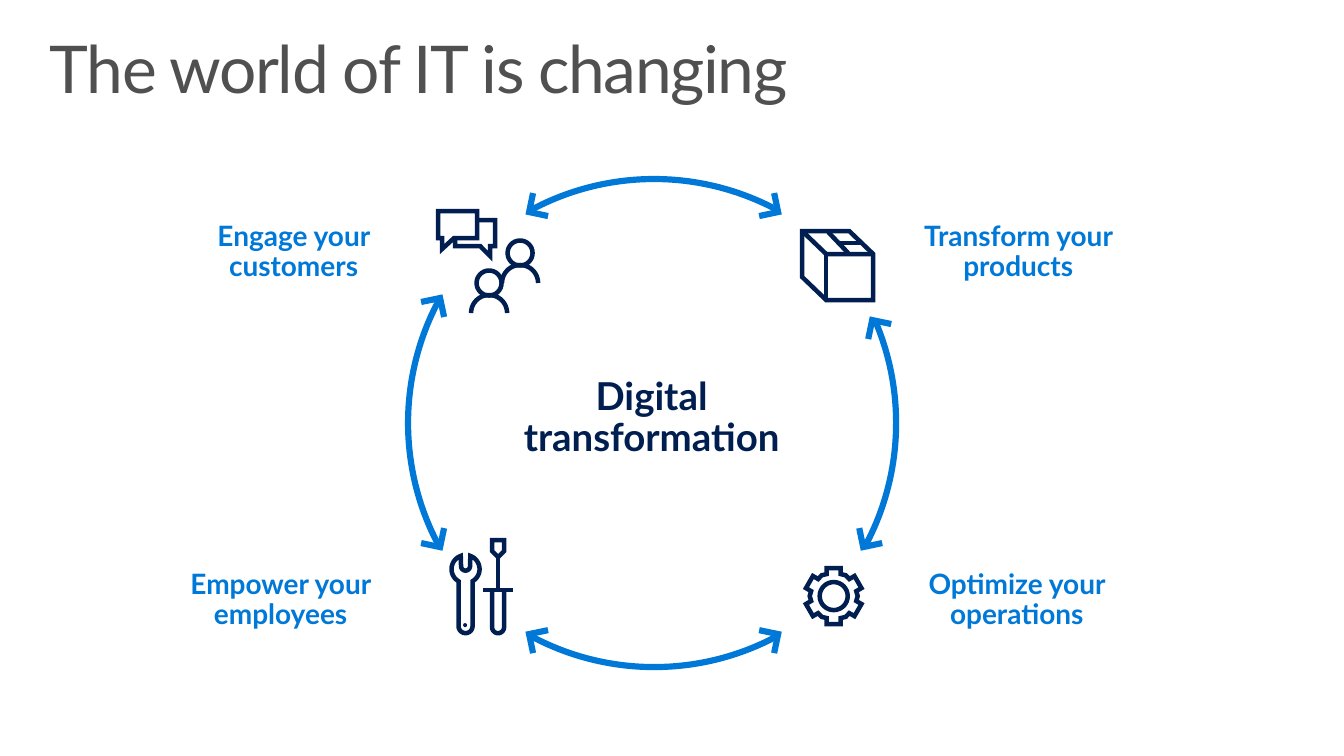
from math import cos, radians, sin

from lxml import etree
from pptx import Presentation
from pptx.dml.color import RGBColor
from pptx.enum.shapes import MSO_SHAPE
from pptx.enum.text import MSO_ANCHOR, PP_ALIGN
from pptx.oxml.ns import qn
from pptx.util import Inches, Pt

ARC, OVAL = MSO_SHAPE.ARC, MSO_SHAPE.OVAL
TOP, MIDDLE = MSO_ANCHOR.TOP, MSO_ANCHOR.MIDDLE
LEFT, CENTER = PP_ALIGN.LEFT, PP_ALIGN.CENTER

PIXEL = 914400 / 98.8
PAGE_SIZE = Inches(13.6), Inches(7.65)
THEME = {
    "font": "Lato", "navy": "001F50", "blue": "0078D7", "grey": "505050",
    "title": 48, "center": 28, "label": 20.4,
    "arrow_line": 4.5, "icon_line": 3.3,
}

# Text with its box: left, top, width, height
TITLE = ("The world of IT is changing", (40, 32, 1265, 99))
HUB = ("Digital transformation", (469, 361, 365, 115))
LABELS = [
    ("Engage your customers", (175, 205, 237, 94)),
    ("Transform your products", (890, 205, 256, 94)),
    ("Empower your employees", (142, 553, 277, 94)),
    ("Optimize your operations", (875, 553, 283, 94)),
]

# Arc centre, start and end angle, turn of the heads, and per head: tip, arm signs
ARROW_RADIUS = 260
ARM_LONG, ARM_SHORT = 19, 4
ARROWS = [
    ((654, 439), (242, 298), 1, [((529, 212), (1, 1)), ((778, 212), (-1, 1))]),
    ((654, 407), (62, 118), 1, [((529, 634), (1, -1)), ((778, 634), (-1, -1))]),
    ((636, 423), (337, 28), -1, [((872, 320), (1, 1)), ((863, 547), (1, -1))]),
    ((668, 423), (152, 208), -1, [((440, 298), (-1, 1)), ((440, 547), (-1, -1))]),
]


def curve(x, y, radius, start=0, end=360, steps=32):
    """Return points along a circle, angles clockwise from the right."""
    angles = [radians(start + (end - start) * i / steps) for i in range(steps + 1)]
    return [(x + radius * cos(a), y + radius * sin(a)) for a in angles]


def loop(*points):
    """Return the points with the first one repeated at the end."""
    return [*points, points[0]]


def person(x, y):
    """Return the head and shoulders of a person, given the shoulder centre."""
    return [curve(x, y - 30, 12.5), curve(x, y, 18, 180, 360)]


def gear_outline(x, y, teeth=6):
    """Return the outline of a gear with straight-sided teeth."""
    tooth = [(-7, -22), (-7, -28), (7, -28), (7, -22), (12, -20.8)]
    points = []
    for i in range(teeth):
        turn = radians(360 * i / teeth)
        points += [(x + a * cos(turn) - b * sin(turn),
                    y + a * sin(turn) + b * cos(turn)) for a, b in tooth]
    return loop(*points)


# Each icon is a list of strokes
ICONS = {
    "people": person(489, 313) + person(520, 283),
    "bubbles": [
        loop((438, 211), (477, 211), (477, 238), (454, 238),
             (442, 249), (442, 238), (438, 238)),
        [(479, 220), (495, 220), (495, 246), (490, 246),
         (490, 256), (480, 246), (455, 246), (455, 240)],
    ],
    "carton": [
        loop((802, 231), (849, 231), (873, 254), (873, 300), (826, 300), (802, 277)),
        [(802, 231), (826, 254), (873, 254)],
        [(826, 254), (826, 300)],
        [(828, 232), (848, 253)],
        [(838, 243), (861, 243)],
    ],
    "gear": [gear_outline(833.5, 596), curve(833.5, 596, 14)],
    "screwdriver": [
        loop((492, 540), (504, 540), (504, 551), (498, 557), (492, 551)),
        [(498, 557), (498, 590)],
        [(483, 590), (513, 590)],
        [(492, 590), *curve(498, 627, 6, 180, 0), (504, 590)],
    ],
    "wrench": [
        loop(*curve(465.5, 566, 4.5, 180, 0), *curve(465.5, 569, 14, -70, 60),
             *curve(465.5, 626, 7, 0, 180), *curve(465.5, 569, 14, 120, 250)),
    ],
}
WRENCH_HOLE = (465, 625, 2)


def emu(*lengths):
    """Turn pixels into whole EMU."""
    return [round(length * PIXEL) for length in lengths]


def style_line(item, color, width):
    """Give a shape a plain mitred line."""
    item.line.color.rgb = RGBColor.from_string(THEME[color])
    item.line.width = Pt(THEME[width])
    miter = etree.SubElement(item.line._get_or_add_ln(), qn("a:miter"))
    miter.set("lim", "800000")


def add_outline(page, strokes, color, width):
    """Draw one unfilled shape from strokes; a stroke ending at its start closes."""
    strokes = [[emu(*point) for point in stroke] for stroke in strokes]
    builder = page.shapes.build_freeform(*strokes[0][0], scale=1.0)
    for i, (first, *rest) in enumerate(strokes):
        if i:
            builder.move_to(*first)
        builder.add_line_segments(rest, close=first == rest[-1])
    outline = builder.convert_to_shape()
    outline.fill.background()
    outline.shadow.inherit = False
    style_line(outline, color, width)


def add_round(page, kind, x, y, radius):
    """Add a round preset shape around a centre."""
    box = emu(x - radius, y - radius, 2 * radius, 2 * radius)
    shape = page.shapes.add_shape(kind, *box)
    shape.shadow.inherit = False
    return shape


def add_text(page, text, box, size, color, bold=True, align=CENTER,
             anchor=MIDDLE, insets=(0, 0), spacing=None):
    """Write one wrapped paragraph; insets are horizontal and vertical."""
    frame = page.shapes.add_textbox(*emu(*box)).text_frame
    frame.word_wrap = True
    frame.vertical_anchor = anchor
    across, down = emu(*insets)
    frame.margin_left = frame.margin_right = across
    frame.margin_top = frame.margin_bottom = down
    para = frame.paragraphs[0]
    para.alignment = align
    para.line_spacing = 0.9
    span = para.add_run()
    span.text = text
    span.font.name = THEME["font"]
    span.font.size = Pt(THEME[size])
    span.font.bold = bold
    span.font.color.rgb = RGBColor.from_string(THEME[color])
    if spacing:
        span._r.get_or_add_rPr().set("spc", str(spacing))


def add_arrow(page, center, angles, turn, heads):
    """Draw an arc with an open arrowhead at both ends."""
    arc = add_round(page, ARC, *center, ARROW_RADIUS)
    for i, angle in enumerate(angles):
        arc.adjustments[i] = angle * 0.6
    arc.fill.background()
    style_line(arc, "blue", "arrow_line")
    for (x, y), (across, down) in heads:
        flat = (x + across * ARM_LONG, y + down * ARM_SHORT)
        steep = (x + turn * across * ARM_SHORT, y - turn * down * ARM_LONG)
        add_outline(page, [[flat, (x, y), steep]], "blue", "arrow_line")


deck = Presentation()
deck.slide_width, deck.slide_height = PAGE_SIZE
page = deck.slides.add_slide(deck.slide_layouts[6])
add_text(page, *HUB, "center", "navy")
for label in LABELS:
    add_text(page, *label, "label", "blue", insets=(20, 16))
for arrow in ARROWS:
    add_arrow(page, *arrow)
for strokes in ICONS.values():
    add_outline(page, strokes, "navy", "icon_line")
hole = add_round(page, OVAL, *WRENCH_HOLE)
hole.fill.solid()
hole.fill.fore_color.rgb = RGBColor.from_string(THEME["navy"])
hole.line.fill.background()
add_text(page, *TITLE, "title", "grey", bold=False, align=LEFT, anchor=TOP,
         insets=(10, 5), spacing=-105)
deck.save("out.pptx")
